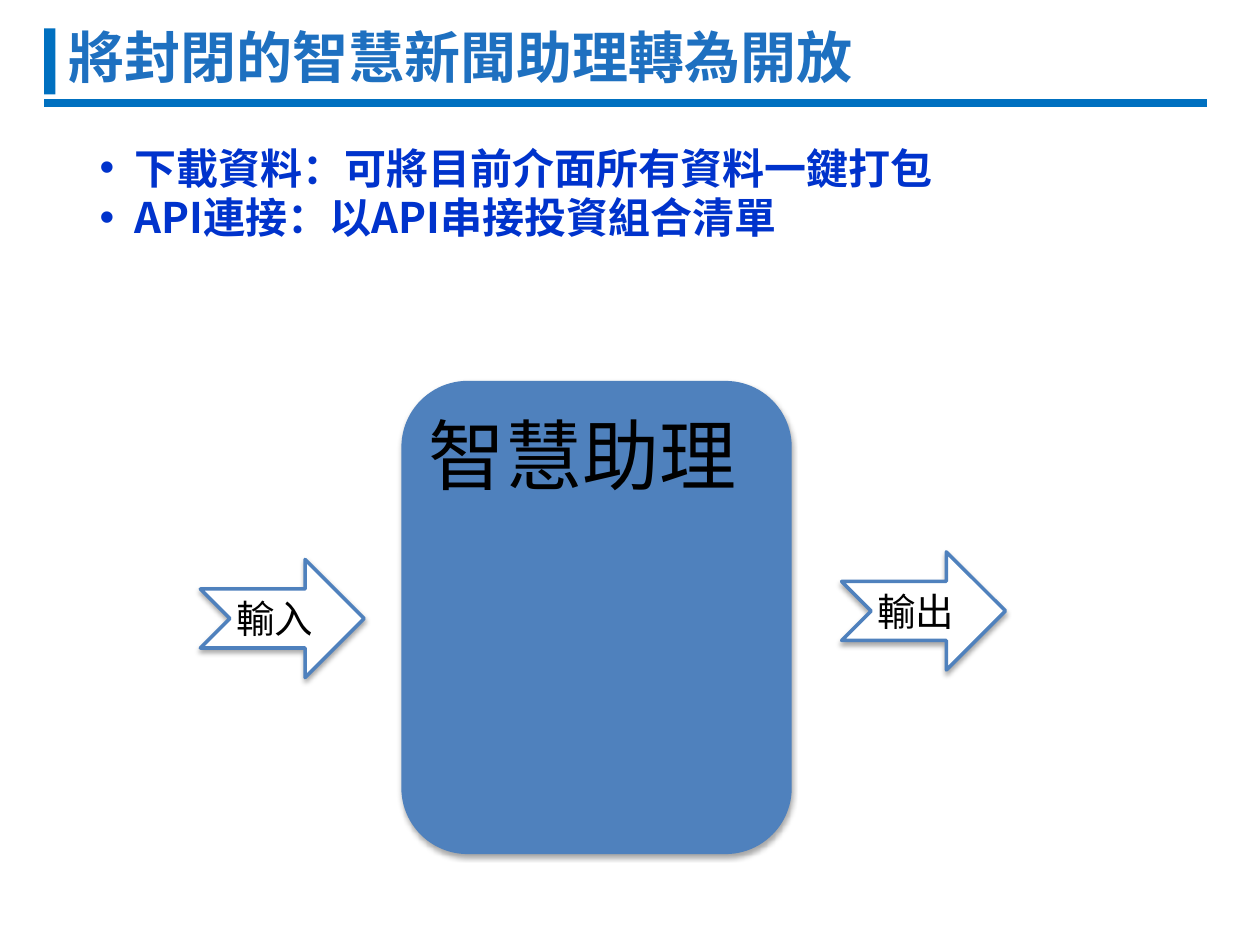
import pptx
import pptx.dml.color
import pptx.enum.shapes
import pptx.enum.text
import pptx.oxml
import pptx.oxml.ns
import pptx.util

WIDTH, HEIGHT = 10, 7.5
TITLE_FONT = "Noto Sans CJK TC"
SHAPE_FONT = "Noto Sans CJK SC"
BAR_BLUE = "0070C0"
BOX_BLUE = "4F81BD"
SHAPES = pptx.enum.shapes.MSO_SHAPE
ANCHOR = pptx.enum.text.MSO_ANCHOR
LEFT = pptx.enum.text.PP_ALIGN.LEFT
NAMESPACE = pptx.oxml.ns.nsdecls("a")
SHADOW = (
    f'<a:effectLst {NAMESPACE}><a:outerShdw blurRad="38100" dist="22860" '
    'dir="5400000" rotWithShape="0"><a:srgbClr val="000000">'
    '<a:alpha val="35000"/></a:srgbClr></a:outerShdw></a:effectLst>'
)


def color(value):
    return pptx.dml.color.RGBColor.from_string(value)


def share(left, top, width, height):
    return [pptx.util.Inches(total * part) for total, part in
            zip((WIDTH, HEIGHT, WIDTH, HEIGHT), (left, top, width, height))]


def apply(target, formats):
    for name, value in formats.items():
        setattr(target, name, value)


def place(shape, box):
    apply(shape, dict(zip(("left", "top", "width", "height"), share(*box))))


def set_frame(frame, anchor, inset=0.05, top=0.05):
    side = pptx.util.Inches(inset)
    apply(frame, {
        "word_wrap": True, "vertical_anchor": anchor,
        "auto_size": pptx.enum.text.MSO_AUTO_SIZE.NONE,
        "margin_left": side, "margin_right": side,
        "margin_top": pptx.util.Inches(top),
        "margin_bottom": pptx.util.Inches(0.05),
    })


def write(paragraph, text, size, font_name, font_color, bold=False):
    paragraph.alignment = LEFT
    run = paragraph.add_run()
    run.text = text
    apply(run.font, {"size": pptx.util.Pt(size), "name": font_name, "bold": bold})
    run.font.color.rgb = color(font_color)
    run.font._element.append(pptx.oxml.parse_xml(
        f'<a:ea {NAMESPACE} typeface="{font_name}"/>'))


def add_header_rule(slide):
    left, top, right, _ = share(0.035, 0.109, 0.958, 0)
    rule = slide.shapes.add_connector(
        pptx.enum.shapes.MSO_CONNECTOR.STRAIGHT, left, top, right, top)
    rule.line.color.rgb = color(BAR_BLUE)
    rule.line.width = pptx.util.Pt(4.5)
    rule._element.spPr.append(pptx.oxml.parse_xml(f"<a:effectLst {NAMESPACE}/>"))
    bar = slide.shapes.add_shape(SHAPES.RECTANGLE, *share(0.035, 0.03, 0.009, 0.07))
    bar.shadow.inherit = False
    bar.fill.solid()
    bar.fill.fore_color.rgb = color(BAR_BLUE)
    bar.line.fill.background()


def fill_title(slide, text):
    title = slide.shapes.title
    place(title, (0.049, 0.024, 0.909, 0.071))
    set_frame(title.text_frame, ANCHOR.MIDDLE)
    write(title.text_frame.paragraphs[0], text, 32, TITLE_FONT, "1E70C0", True)


def fill_list(slide, items):
    body = slide.placeholders[1]
    place(body, (0.069, 0.148, 0.862, 0.772))
    frame = body.text_frame
    set_frame(frame, ANCHOR.TOP, inset=0.1, top=0.09)
    indent = pptx.util.Inches(0.28)
    for index, item in enumerate(items):
        paragraph = frame.add_paragraph() if index else frame.paragraphs[0]
        apply(paragraph, {"line_spacing": 0.82,
                          "space_before": pptx.util.Pt(4.5 if index else 0)})
        properties = paragraph._p.get_or_add_pPr()
        properties.set("marL", str(indent))
        properties.set("indent", str(-indent))
        properties.append(pptx.oxml.parse_xml(
            f'<a:buFont {NAMESPACE} typeface="Arial"/>'))
        properties.append(pptx.oxml.parse_xml(f'<a:buChar {NAMESPACE} char="•"/>'))
        write(paragraph, item, 24, TITLE_FONT, "0033CC", True)


def add_block(slide, kind, box, text, size, fill, anchor):
    block = slide.shapes.add_shape(kind, *share(*box))
    block.fill.solid()
    block.fill.fore_color.rgb = color(fill)
    block.line.color.rgb = color(BOX_BLUE)
    block.line.width = pptx.util.Pt(2)
    block._element.spPr.append(pptx.oxml.parse_xml(SHADOW))
    set_frame(block.text_frame, anchor)
    write(block.text_frame.paragraphs[0], text, size, SHAPE_FONT, "000000")


def main():
    presentation = pptx.Presentation()
    presentation.slide_width = pptx.util.Inches(WIDTH)
    presentation.slide_height = pptx.util.Inches(HEIGHT)
    slide = presentation.slides.add_slide(presentation.slide_layouts[1])
    add_header_rule(slide)
    fill_title(slide, "將封閉的智慧新聞助理轉為開放")
    fill_list(slide, ["下載資料：可將目前介面所有資料一鍵打包",
                      "API連接：以API串接投資組合清單"])
    add_block(slide, SHAPES.ROUNDED_RECTANGLE, (0.32, 0.405, 0.307, 0.497),
              "智慧助理", 44, BOX_BLUE, ANCHOR.TOP)
    for text, left, top in (("輸出", 0.668, 0.584), ("輸入", 0.159, 0.592)):
        add_block(slide, SHAPES.NOTCHED_RIGHT_ARROW, (left, top, 0.13, 0.125),
                  text, 22, "FFFFFF", ANCHOR.MIDDLE)
    presentation.save("out.pptx")


if __name__ == "__main__":
    main()
